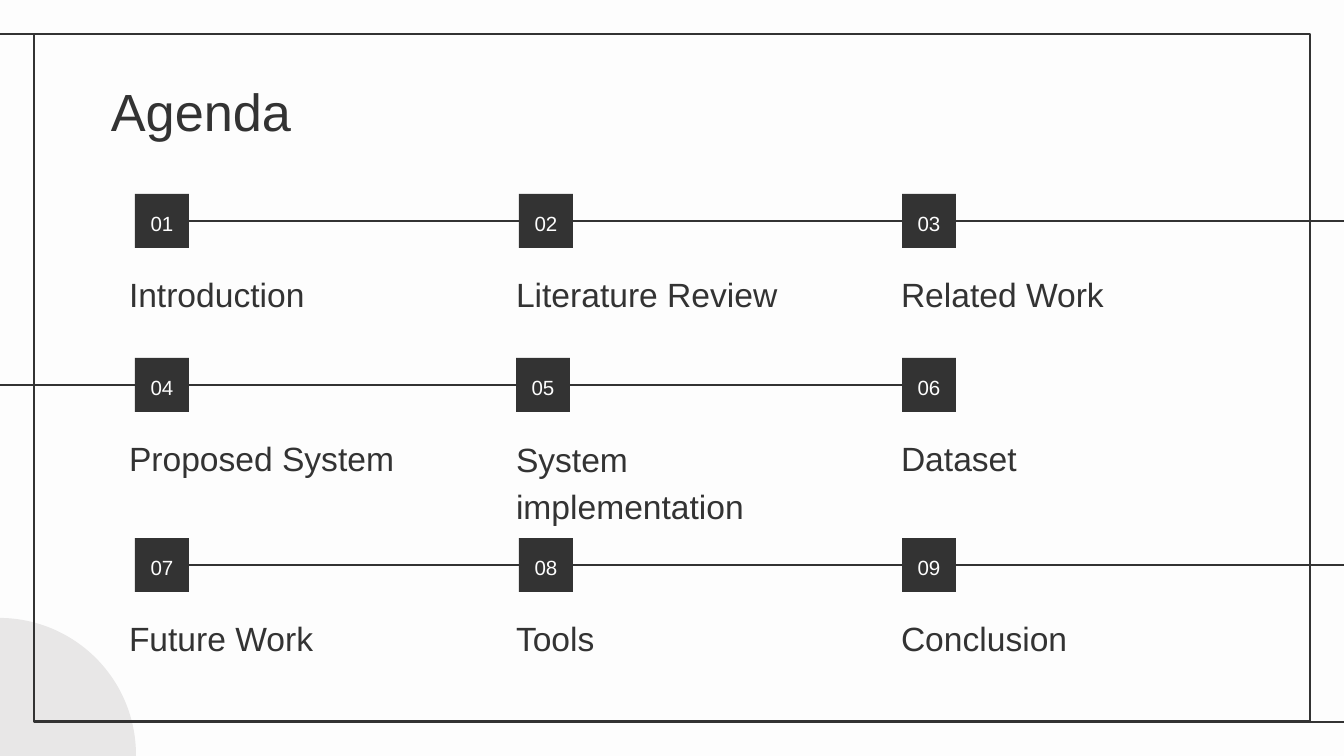
from dataclasses import dataclass

from lxml.etree import SubElement
from pptx import Presentation
from pptx.dml.color import RGBColor
from pptx.enum.shapes import MSO_CONNECTOR, MSO_SHAPE
from pptx.enum.text import MSO_ANCHOR, PP_ALIGN
from pptx.oxml.ns import qn
from pptx.util import Emu, Pt

EMU_PER_PX = 914400 / 134.4
TOP, LEFT, BOTTOM, RIGHT = range(4)  # connection sites of a rectangle


@dataclass(frozen=True)
class Theme:
    ink: RGBColor = RGBColor(0x33, 0x33, 0x33)
    paper: RGBColor = RGBColor(0xFD, 0xFD, 0xFD)
    accent: RGBColor = RGBColor(0xE8, 0xE7, 0xE7)
    font: str = "Arial"
    title_size: int = 28
    label_size: int = 18
    number_size: int = 11
    line_width: float = 1.5
    line_spacing: float = 1.15
    inset: int = 13


def px(length):
    return Emu(round(length * EMU_PER_PX))


class SlideBuilder:
    def __init__(self, slide, theme):
        self.slide = slide
        self.theme = theme
        slide.background.fill.solid()
        slide.background.fill.fore_color.rgb = theme.paper

    def shape(self, kind, x, y, width, height, fill=None, outline=None):
        shape = self.slide.shapes.add_shape(kind, px(x), px(y), px(width), px(height))
        shape.shadow.inherit = False
        if fill is None:
            shape.fill.background()
        else:
            shape.fill.solid()
            shape.fill.fore_color.rgb = fill
        if outline is None:
            shape.line.fill.background()
        else:
            shape.line.color.rgb = outline
            shape.line.width = Pt(self.theme.line_width)
        return shape

    def line(self, x1, y1, x2, y2):
        line = self.slide.shapes.add_connector(
            MSO_CONNECTOR.STRAIGHT, px(x1), px(y1), px(x2), px(y2))
        line.line.color.rgb = self.theme.ink
        line.line.width = Pt(self.theme.line_width)
        SubElement(line._element.spPr, qn("a:effectLst"))
        return line

    def set_text(self, shape, text, size, color, anchor, align=PP_ALIGN.LEFT, spacing=None):
        frame = shape.text_frame
        frame.word_wrap = True
        frame.vertical_anchor = anchor
        frame.margin_left = frame.margin_right = px(self.theme.inset)
        frame.margin_top = frame.margin_bottom = px(self.theme.inset)
        frame.text = text
        paragraph = frame.paragraphs[0]
        paragraph.alignment = align
        paragraph.line_spacing = spacing
        font = paragraph.runs[0].font
        font.name = self.theme.font
        font.size = Pt(size)
        font.color.rgb = color

    def text(self, text, x, y, width, height, size, anchor, spacing=None):
        box = self.slide.shapes.add_textbox(px(x), px(y), px(width), px(height))
        self.set_text(box, text, size, self.theme.ink, anchor, spacing=spacing)

    def number(self, number, x, y, side):
        square = self.shape(MSO_SHAPE.RECTANGLE, x, y, side, side, fill=self.theme.ink)
        self.set_text(square, f"{number:02d}", self.theme.number_size, self.theme.paper,
                      MSO_ANCHOR.MIDDLE, PP_ALIGN.CENTER, self.theme.line_spacing)
        return square


def main():
    theme = Theme()
    deck = Presentation()
    deck.slide_width, deck.slide_height = px(1344), px(756)
    agenda = SlideBuilder(deck.slides.add_slide(deck.slide_layouts[6]), theme)

    # Corner disc and frame with its two stubs
    agenda.shape(MSO_SHAPE.OVAL, -138, 618, 274, 274, fill=theme.accent)
    agenda.shape(MSO_SHAPE.RECTANGLE, 34, 34, 1276, 688, outline=theme.ink)
    agenda.line(34, 34, -3, 34)
    agenda.line(1348, 722, 1310, 722)

    # Title
    agenda.text("Agenda", 98, 66, 1133, 85, theme.title_size, MSO_ANCHOR.TOP)

    # Rows: top, square positions, column the line starts from, line end, topics
    side = 54
    rows = [
        (194, (135, 519, 902), 0, 1367, ("Introduction", "Literature Review", "Related Work")),
        (358, (135, 516, 902), 2, -24, ("Proposed System", "System implementation", "Dataset")),
        (538, (135, 519, 902), 0, 1367, ("Future Work", "Tools", "Conclusion")),
    ]
    label_lefts = (116, 503, 888)
    one_line, two_lines = (77, 56), (116, 65)  # label offset below row top, height

    for row, (top, square_lefts, start, line_end, topics) in enumerate(rows):
        first = 3 * row + 1

        # The line leaves the starting square and runs behind the others
        start_square = agenda.number(first + start, square_lefts[start], top, side)
        middle = top + side // 2
        timeline = agenda.line(square_lefts[start], middle, line_end, middle)
        timeline.begin_connect(start_square, RIGHT if start == 0 else LEFT)

        for column, topic in enumerate(topics):
            if column != start:
                agenda.number(first + column, square_lefts[column], top, side)
            offset, height = two_lines if topic == "System implementation" else one_line
            agenda.text(topic, label_lefts[column], top + offset, 339, height,
                        theme.label_size, MSO_ANCHOR.BOTTOM, theme.line_spacing)

    deck.save("out.pptx")


if __name__ == "__main__":
    main()
